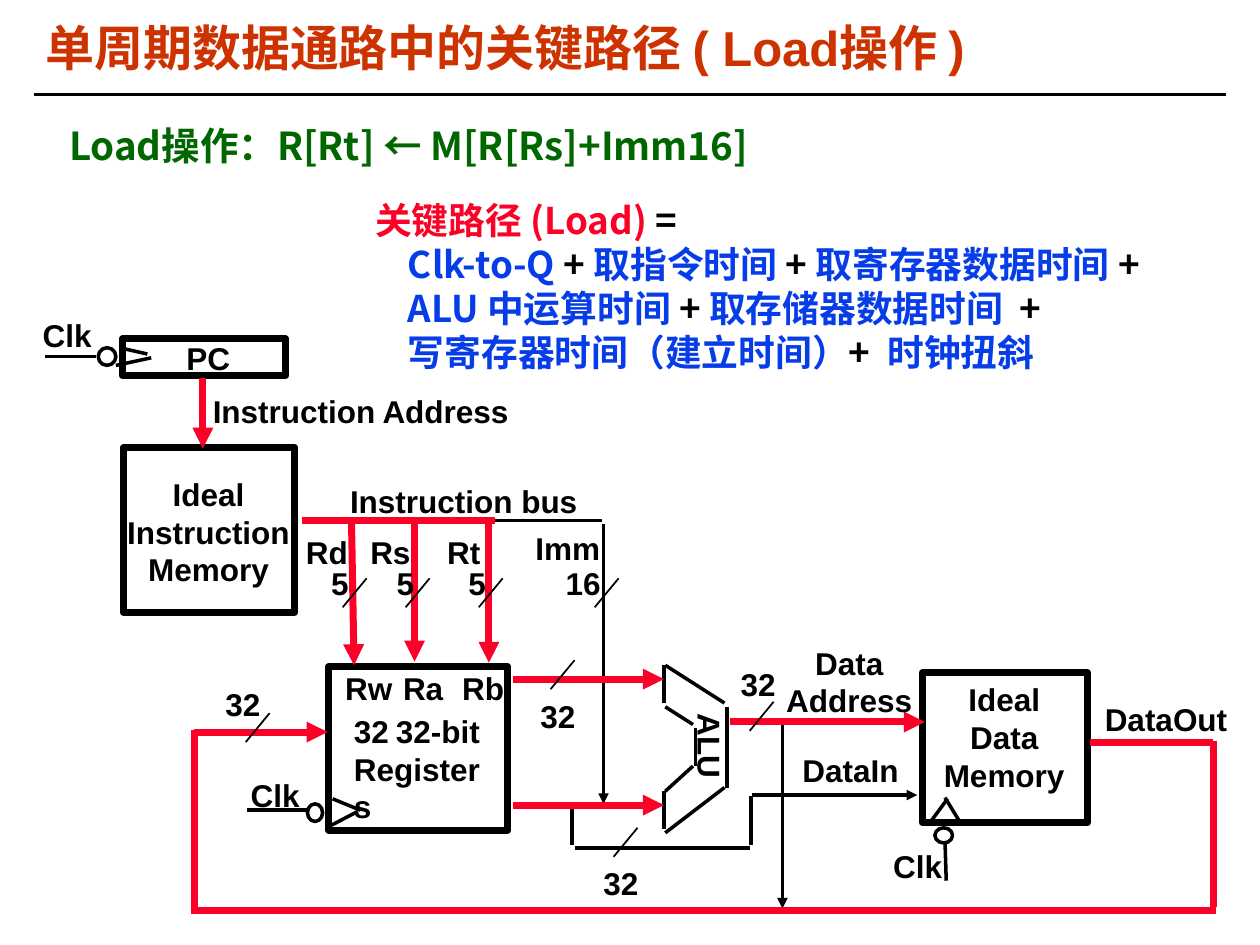
from lxml import etree
from pptx import Presentation
from pptx import util as u
from pptx.dml.color import RGBColor
from pptx.enum import shapes, text
from pptx.oxml import ns

Inches, Pt = u.Inches, u.Pt
color = RGBColor.from_string
BLACK, RED, BLUE = "000000", "FC0128", "063DE8"
CJK = "Noto Sans CJK SC"


def add_run(paragraph, words, size, hex_color, font="Arial"):
    run = paragraph.add_run()
    run.text = words
    run.font.size = Pt(size)
    run.font.bold = True
    run.font.name = font
    run.font.color.rgb = color(hex_color)
    etree.SubElement(run.font._element, ns.qn("a:ea"), typeface=CJK)


def add_line(points, hex_color=BLACK, width=2, arrow=False):
    line = slide.shapes.add_connector(
        shapes.MSO_CONNECTOR.STRAIGHT, *[Inches(value) for value in points])
    line.line.color.rgb = color(hex_color)
    line.line.width = Pt(width)
    if arrow:
        etree.SubElement(line.line._get_or_add_ln(), ns.qn("a:tailEnd"), type="triangle")
    etree.SubElement(line._element.spPr, ns.qn("a:effectLst"))


presentation = Presentation()
presentation.slide_width, presentation.slide_height = Inches(10), Inches(7.5)
slide = presentation.slides.add_slide(presentation.slide_layouts[5])

title = slide.shapes.title
title.left, title.top, title.width, title.height = [Inches(v) for v in (0.29, 0.17, 8.51, 0.46)]
frame = title.text_frame
frame.margin_left = frame.margin_right = Inches(0.07)
frame.margin_top = frame.margin_bottom = Inches(0.03)
frame.vertical_anchor = text.MSO_ANCHOR.TOP
paragraph = frame.paragraphs[0]
paragraph.alignment = text.PP_ALIGN.LEFT
paragraph.line_spacing = 0.87
add_run(paragraph, "单周期数据通路中的关键路径 ( Load操作 )", 28, "CC3300")
add_line((0.27, 0.75, 9.73, 0.75), width=1.5)

rectangle, ellipse = shapes.MSO_SHAPE.RECTANGLE, shapes.MSO_SHAPE.OVAL
for kind, width, *box in [
    (rectangle, 4, 0.97, 2.69, 1.3, 0.29),
    (rectangle, 4, 0.98, 3.55, 1.36, 1.31),
    (rectangle, 4, 2.61, 5.29, 1.42, 1.3),
    (rectangle, 4, 7.32, 5.34, 1.31, 1.19),
    (ellipse, 2, 0.78, 2.76, 0.14, 0.14),
    (ellipse, 2, 2.44, 6.38, 0.12, 0.14),
    (ellipse, 2, 7.42, 6.57, 0.14, 0.12),
]:
    block = slide.shapes.add_shape(kind, *[Inches(v) for v in box])
    block.shadow.inherit = False
    block.fill.background()
    block.line.color.rgb = color(BLACK)
    block.line.width = Pt(width)

clock_lines = [
    (0.95, 2.76, 1.17, 2.81), (1.2, 2.84, 0.92, 2.9), (0.76, 2.83, 0.36, 2.83),
    (2.64, 6.34, 2.86, 6.43), (2.84, 6.44, 2.61, 6.56), (2.45, 6.43, 1.96, 6.43),
    (7.38, 6.53, 7.52, 6.34), (7.5, 6.33, 7.61, 6.51), (7.5, 6.68, 7.51, 6.99),
]
alu_outline = [
    (5.27, 5.28, 5.27, 5.58), (5.28, 5.28, 5.75, 5.58), (5.28, 5.61, 5.5, 5.75),
    (5.52, 5.78, 5.52, 6.08), (5.77, 5.61, 5.77, 6.25), (5.28, 6.28, 5.5, 6.08),
    (5.27, 6.28, 5.27, 6.58), (5.28, 6.61, 5.75, 6.25),
]
data_in_wires = [
    (4.54, 6.41, 4.54, 6.71), (4.56, 6.73, 5.95, 6.73), (5.96, 6.32, 5.96, 6.71),
    (3.89, 4.13, 4.78, 4.13),
]
for points in clock_lines + alu_outline + data_in_wires:
    add_line(points)

for points in [(4.79, 4.16, 4.79, 6.38), (5.97, 6.31, 7.28, 6.31), (6.21, 5.74, 6.21, 7.21)]:
    add_line(points, arrow=True)

for points in [
    (2.4, 4.13, 3.93, 4.13), (8.65, 5.89, 9.63, 5.89), (9.63, 5.88, 9.63, 7.2),
    (9.65, 7.23, 1.52, 7.23), (1.54, 5.79, 1.54, 7.2),
]:
    add_line(points, RED, 4)

for points in [
    (1.61, 3, 1.61, 3.56), (2.79, 4.14, 2.81, 5.28), (3.29, 4.12, 3.29, 5.25),
    (3.88, 4.14, 3.88, 5.26), (4.07, 5.39, 5.27, 5.39), (4.07, 6.39, 5.27, 6.39),
    (5.79, 5.73, 7.34, 5.73), (1.54, 5.81, 2.6, 5.81),
]:
    add_line(points, RED, 4, True)

for x, y in [(2.72, 4.82), (3.22, 4.82), (3.8, 4.82), (4.72, 4.82),
             (4.87, 6.8), (5.95, 5.8), (4.37, 5.47), (1.95, 5.89)]:
    add_line((x, y, x + 0.19, y - 0.23), width=1)

wrapped = {"5", "16", "Imm", "DataIn", "32| |32-bit\nRegisters"}
centred = {"Data\nAddress", "Ideal\nData\nMemory", "Ideal\nInstruction\nMemory"}
for label, left, top, width in [
    ("Clk", 0.24, 2.46, 0.59), ("Clk", 1.89, 6.11, 0.59), ("Clk", 6.99, 6.67, 0.59),
    ("PC", 1.38, 2.64, 0.55),
    ("Instruction| |Address", 1.59, 3.06, 2.55),
    ("Ideal\nInstruction\nMemory", 0.91, 3.72, 1.49),
    ("Instruction bus", 2.68, 3.78, 2.06),
    ("Rd", 2.33, 4.18, 0.53), ("Rs", 2.84, 4.18, 0.52), ("Rt", 3.45, 4.18, 0.5),
    ("Imm", 4.15, 4.15, 0.85),
    ("5", 2.53, 4.43, 0.4), ("5", 3.05, 4.43, 0.4), ("5", 3.62, 4.43, 0.4),
    ("16", 4.39, 4.43, 0.49),
    ("Rw", 2.64, 5.26, 0.61), ("Ra", 3.1, 5.26, 0.52), ("Rb", 3.57, 5.26, 0.53),
    ("32| |32-bit\nRegisters", 2.71, 5.6, 1.32),
    ("32", 1.69, 5.39, 0.48), ("32", 4.19, 5.48, 0.48),
    ("32", 4.69, 6.81, 0.48), ("32", 5.78, 5.23, 0.48),
    ("ALU", 5.26, 5.74, 0.75),
    ("Data\nAddress", 6.14, 5.06, 1.2),
    ("DataIn", 6.27, 5.91, 1.19),
    ("Ideal\nData\nMemory", 7.39, 5.35, 1.16),
    ("DataOut", 8.67, 5.51, 1.17),
]:
    rows = label.split("\n")
    box = slide.shapes.add_textbox(
        Inches(left), Inches(top), Inches(width), Inches(0.1 + 0.3 * len(rows)))
    box.rotation = 90 if label == "ALU" else 0
    frame = box.text_frame
    frame.word_wrap = label in wrapped
    for index, row in enumerate(rows):
        paragraph = frame.add_paragraph() if index else frame.paragraphs[0]
        if label in centred:
            paragraph.alignment = text.PP_ALIGN.CENTER
        for words in row.split("|"):
            if words == " ":
                add_run(paragraph, words, 16, BLACK, "Times New Roman")
            else:
                add_run(paragraph, words, 18, BLACK)

formula = slide.shapes.add_textbox(Inches(2.88), Inches(1.52), Inches(6.8), Inches(1.5))
formula.text_frame.word_wrap = True
for index, runs in enumerate([
    [("关键路径 (Load)", RED), (" =", BLACK)],
    [("Clk-to-Q", BLUE), (" + ", BLACK), ("取指令时间 ", BLUE), ("+ ", BLACK),
     ("取寄存器数据时间 ", BLUE), ("+", BLACK)],
    [("ALU 中运算时间 ", BLUE), ("+ ", BLACK), ("取存储器数据时间  ", BLUE), ("+", BLACK)],
    [("写寄存器时间（建立时间）", BLUE), ("+  ", BLACK), ("时钟扭斜", BLUE)],
]):
    frame = formula.text_frame
    paragraph = frame.add_paragraph() if index else frame.paragraphs[0]
    paragraph.line_spacing = Pt(25.2)
    if index:
        paragraph._p.get_or_add_pPr().set("marL", str(Inches(0.26)))
    for words, hex_color in runs:
        add_run(paragraph, words, 21, hex_color, CJK)

operation = slide.shapes.add_textbox(Inches(0.45), Inches(0.92), Inches(6.38), Inches(0.47))
operation.fill.solid()
operation.fill.fore_color.rgb = color("FFFFFF")
operation.text_frame.word_wrap = True
paragraph = operation.text_frame.paragraphs[0]
paragraph.line_spacing = Pt(26.6)
add_run(paragraph, "Load操作：R[Rt] ← M[R[Rs]+Imm16]", 22, "006600", CJK)

presentation.save("out.pptx")
